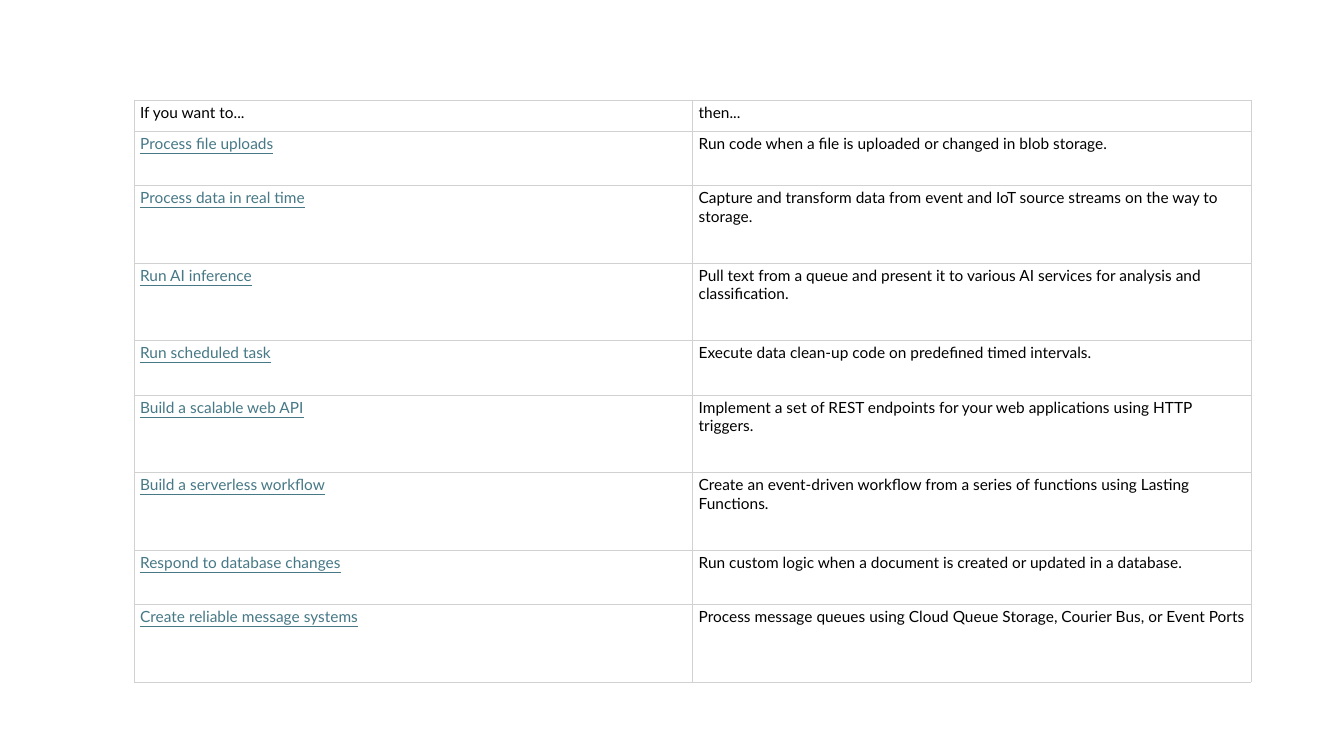
"""Build a slide with a table that pairs serverless goals with solutions."""
from lxml import etree
from pptx import Presentation
from pptx.dml.color import RGBColor as RGB
from pptx.oxml.ns import qn
from pptx.util import Pt

PX = 9144
COLORS = {"paper": "FFFFFF", "text": "000000", "link": "467886", "rule": "D1D1D1"}
FONT = "Lato"
HEADER, SHORT, TALL = 31, 54, 77
ROWS = [
    (HEADER, "If you want to...", "then..."),
    (SHORT, "Process file uploads",
     "Run code when a file is uploaded or changed in blob storage."),
    (TALL, "Process data in real time",
     "Capture and transform data from event and IoT source streams on the way to storage."),
    (TALL, "Run AI inference",
     "Pull text from a queue and present it to various AI services for analysis and classification."),
    (SHORT, "Run scheduled task",
     "Execute data clean-up code on predefined timed intervals."),
    (TALL, "Build a scalable web API",
     "Implement a set of REST endpoints for your web applications using HTTP triggers."),
    (TALL, "Build a serverless workflow",
     "Create an event-driven workflow from a series of functions using Lasting Functions."),
    (SHORT, "Respond to database changes",
     "Run custom logic when a document is created or updated in a database."),
    (TALL, "Create reliable message systems",
     "Process message queues using Cloud Queue Storage, Courier Bus, or Event Ports"),
]


def px(n):
    return n * PX


def rgb(name):
    return RGB.from_string(COLORS[name])


def set_borders(cell):
    tc_pr = cell._tc.get_or_add_tcPr()
    for i, side in enumerate(("lnL", "lnR", "lnT", "lnB")):
        ln = etree.Element(qn(f"a:{side}"), w=str(Pt(0.33)))
        fill = etree.SubElement(ln, qn("a:solidFill"))
        etree.SubElement(fill, qn("a:srgbClr"), val=COLORS["rule"])
        tc_pr.insert(i, ln)


def fill_cell(cell, text, link):
    cell.fill.solid()
    cell.fill.fore_color.rgb = rgb("paper")
    cell.margin_left = cell.margin_right = px(6)
    cell.margin_top = cell.margin_bottom = px(3)
    set_borders(cell)
    r = cell.text_frame.paragraphs[0].add_run()
    r.text = text
    r.font.name = FONT
    r.font.size = Pt(11)
    r.font.bold = False
    r.font.underline = link
    r.font.color.rgb = rgb("link" if link else "text")


def add_goal_table(s, left, top, col_width):
    total = sum(height for height, *_ in ROWS)
    frame = s.shapes.add_table(len(ROWS), 2, px(left), px(top),
                               px(2 * col_width), px(total))
    table = frame.table
    table.first_row = table.horz_banding = False
    for col in table.columns:
        col.width = px(col_width)
    for i, (height, *texts) in enumerate(ROWS):
        table.rows[i].height = px(height)
        for j, text in enumerate(texts):
            fill_cell(table.cell(i, j), text, link=i > 0 and j == 0)


def main():
    prs = Presentation()
    prs.slide_width, prs.slide_height = px(1333), px(750)
    s = prs.slides.add_slide(prs.slide_layouts[6])
    add_goal_table(s, 133, 99, 554)
    prs.save("out.pptx")


if __name__ == "__main__":
    main()
